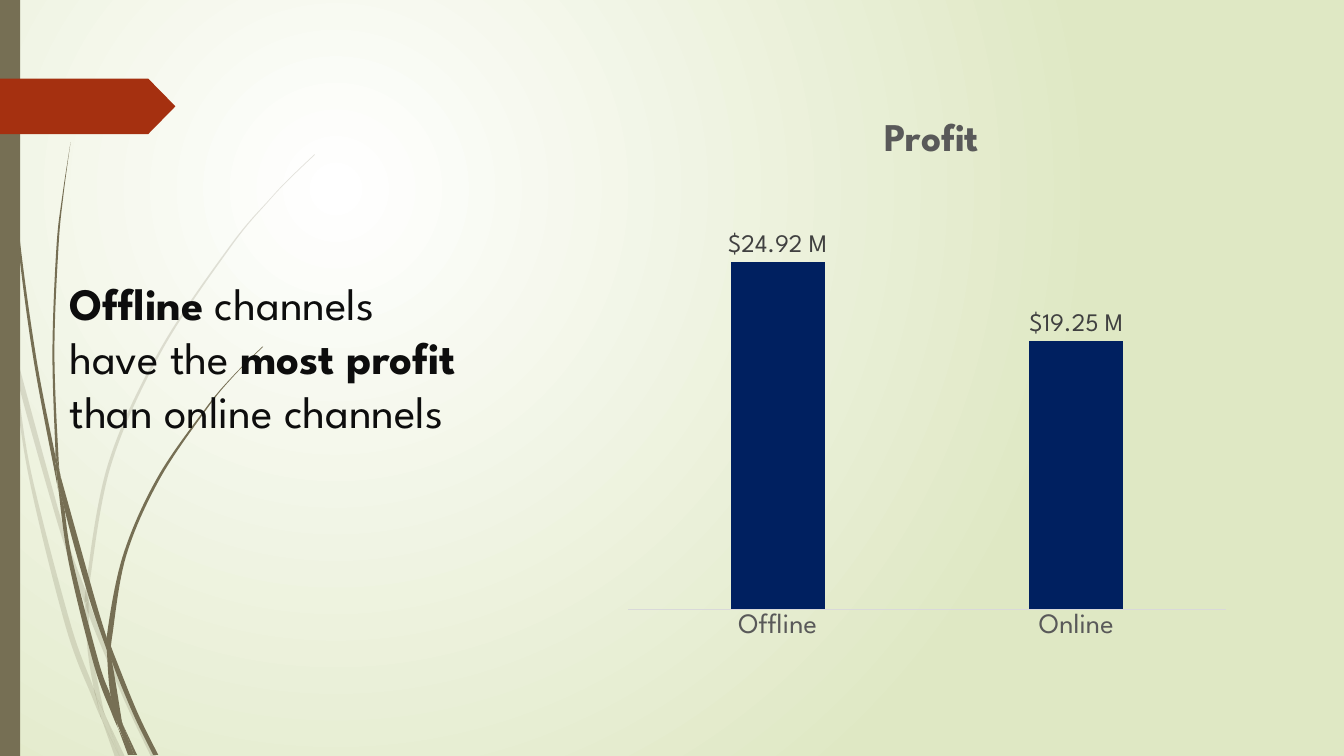
import dataclasses
import pptx
import pptx.util
import pptx.chart.data
import pptx.dml.color
import pptx.enum.chart
import pptx.enum.shapes
import pptx.enum.text
import pptx.oxml
import pptx.oxml.ns

Inches, Pt = pptx.util.Inches, pptx.util.Pt
Rgb = pptx.dml.color.RGBColor.from_string
qn, ns = pptx.oxml.ns.qn, pptx.oxml.ns.nsdecls


@dataclasses.dataclass(frozen=True)
class Theme:
    font: str = "League Spartan"
    glow: str = "FFFFFF"
    field: str = "DFE8C4"
    stem: str = "766F54"
    tag: str = "A53010"
    bar: str = "002060"
    ink: str = "0D0D0D"
    gray: str = "595959"
    value: str = "404040"
    rule: str = "D9D9D9"
    claim: int = 32
    title: int = 28
    axis: int = 20
    label: int = 18


THEME = Theme()

# Pieces of grass: the two curved edges of each, in drawing order
PALE = [
    ([(0.11, 3.5), (0.09, 3.22), (0, 2.82)], [(0, 2.99), (0.1, 3.44)]),
    ([(0.14, 3.45), (0.17, 3.76), (0.58, 5.22), (0.84, 5.99)], [(0.85, 5.86), (0.62, 5.2), (0.14, 3.45)]),
    ([(0.88, 5.96), (0.88, 6.1), (1.23, 6.94), (1.5, 7.51)], [(1.55, 7.51), (1.27, 6.92), (0.92, 6.07)]),
    ([(1.05, 7.11), (1.19, 7.51)], [(1.24, 7.51), (1.05, 7.11)]),
    ([(0.11, 3.5), (0.28, 4.7), (0.65, 6.21), (0.92, 6.93), (1.01, 7.14)],
     [(0.99, 7.07), (0.93, 6.83), (0.7, 6.19), (0.31, 4.69), (0.17, 3.76)]),
    ([(0.84, 5.99), (0.87, 6.46), (0.93, 6.83), (0.96, 6.92), (1.05, 7.11)],
     [(1.03, 7.06), (0.91, 6.46), (0.88, 6.1), (0.88, 6.08)]),
    ([(0.88, 5.84), (1.1, 4.62), (1.6, 3.49), (2.29, 2.45), (2.68, 1.98), (2.9, 1.75), (3.12, 1.54)],
     [(3.12, 1.53), (2.89, 1.75), (2.68, 1.97), (2.28, 2.44), (1.58, 3.48), (1.07, 4.61), (0.85, 5.84), (0.88, 5.96)]),
    ([(1.01, 7.14), (1.14, 7.51)], [(1.19, 7.51), (1.01, 7.14)]),
    ([(0.88, 6.08), (0.88, 5.96)], [(0.85, 5.86), (0.84, 5.99)]),
    ([(0.93, 6.83), (0.99, 7.07), (1.01, 7.14), (1.19, 7.51)], [(1.19, 7.51), (1.05, 7.11), (0.96, 6.92)]),
]
DARK = [
    ([(0.03, 0), (0.04, 0.48), (0.07, 1.1), (0.17, 2.33), (0.33, 3.55), (0.56, 4.77), (0.57, 4.81)],
     [(0.55, 4.57), (0.55, 4.53), (0.36, 3.55), (0.19, 2.32), (0.08, 1.09), (0.05, 0.48), (0.04, 0)]),
    ([(0.6, 4.72), (0.64, 5.05), (0.88, 5.92), (1.06, 6.45)], [(1.06, 6.33), (0.93, 5.9), (0.6, 4.72)]),
    ([(1.1, 6.41), (1.11, 6.56), (1.32, 7.08), (1.52, 7.49)], [(1.57, 7.49), (1.36, 7.06), (1.13, 6.49)]),
    ([(0.57, 4.77), (0.68, 5.57), (0.93, 6.59), (1.11, 7.08), (1.17, 7.22)],
     [(1.16, 7.17), (1.1, 6.91), (0.98, 6.57), (0.72, 5.56), (0.64, 5.05)]),
    ([(0.6, 4.72), (0.58, 4.53), (0.54, 3.49), (0.58, 2.45), (0.63, 1.93), (0.7, 1.41)],
     [(0.7, 1.41), (0.62, 1.93), (0.56, 2.45), (0.52, 3.49), (0.55, 4.49)]),
    ([(1.22, 7.19), (1.33, 7.49)], [(1.36, 7.49), (1.22, 7.19)]),
    ([(0.55, 4.53), (0.57, 4.77), (0.64, 5.05)], [(0.6, 4.72), (0.55, 4.49)]),
    ([(1.11, 6.33), (1.25, 5.52), (1.58, 4.76), (2.05, 4.06), (2.31, 3.74), (2.61, 3.44)],
     [(2.6, 3.44), (2.31, 3.73), (2.04, 4.05), (1.56, 4.74), (1.22, 5.51), (1.06, 6.31), (1.1, 6.41)]),
    ([(1.17, 7.22), (1.27, 7.49)], [(1.31, 7.49), (1.17, 7.22)]),
    ([(1.06, 6.45), (1.1, 6.91), (1.22, 7.19)], [(1.21, 7.16), (1.11, 6.56), (1.06, 6.45)]),
    ([(1.06, 6.45), (1.11, 6.56)], [(1.1, 6.41), (1.06, 6.31)]),
    ([(1.1, 6.91), (1.16, 7.17), (1.3, 7.49)], [(1.33, 7.49), (1.22, 7.19), (1.16, 7.06)]),
]


def paint(shape, color, alpha=None):
    shape.shadow.inherit = False
    shape.fill.solid()
    shape.fill.fore_color.rgb = Rgb(color)
    shape.line.fill.background()
    if alpha:
        tone = shape.fill._xPr.find(".//" + qn("a:srgbClr"))
        tone.append(pptx.oxml.parse_xml(f'<a:alpha {ns("a")} val="{alpha * 1000}"/>'))


def bend(shape, edges):
    """Turn the straight segments within each edge into smooth curves."""
    nodes = [n for n in shape._element.iter(qn("a:moveTo"), qn("a:lnTo"))]
    spots = [(int(n[0].get("x")), int(n[0].get("y"))) for n in nodes]
    start = 0
    for edge in edges:
        end = start + len(edge)
        knots = [spots[start], *spots[start:end], spots[end - 1]]
        for node, a, b, c, d in zip(nodes[start + 1:end], knots, knots[1:], knots[2:], knots[3:]):
            pull = [q + (r - p) / 6 for p, q, r in zip(a, b, c)]
            push = [r - (s - q) / 6 for q, r, s in zip(b, c, d)]
            dots = "".join(f'<a:pt x="{round(x)}" y="{round(y)}"/>' for x, y in (pull, push, c))
            node.getparent().replace(node, pptx.oxml.parse_xml(
                f'<a:cubicBezTo {ns("a")}>{dots}</a:cubicBezTo>'))
        start = end


def grass(slide, left, top, pieces, alpha=None):
    for edges in pieces:
        points = [(Inches(left + x), Inches(top + y)) for edge in edges for x, y in edge]
        pen = slide.shapes.build_freeform(*points[0])
        pen.add_line_segments(points[1:], close=True)
        piece = pen.convert_to_shape()
        bend(piece, edges)
        paint(piece, THEME.stem, alpha)


def backdrop(slide):
    fill = slide.background.fill
    fill.gradient()
    for stop, color in zip(fill.gradient_stops, (THEME.glow, THEME.field)):
        stop.color.rgb = Rgb(color)
    grad = slide.background._cSld.find(".//" + qn("a:gradFill"))
    grad.remove(grad.find(qn("a:lin")))
    grad.append(pptx.oxml.parse_xml(
        f'<a:path {ns("a")} path="circle"><a:fillToRect l="50000" t="50000" r="100000" b="100000"/></a:path>'))


def margin(slide, left, top, width, height):
    kinds = pptx.enum.shapes.MSO_SHAPE
    strip = slide.shapes.add_shape(kinds.RECTANGLE, Inches(left), Inches(top), Inches(width), Inches(height))
    paint(strip, THEME.stem)
    tag = slide.shapes.add_shape(kinds.PENTAGON, Inches(left), Inches(top + 0.78), Inches(1.74), Inches(0.55))
    tag.adjustments[0] = 0.49
    paint(tag, THEME.tag)


def claim(slide, left, top, width, height):
    frame = slide.shapes.add_textbox(Inches(left), Inches(top), Inches(width), Inches(height)).text_frame
    frame.word_wrap = True
    frame.vertical_anchor = pptx.enum.text.MSO_ANCHOR.BOTTOM
    para = frame.paragraphs[0]
    style(para.font, THEME.claim, THEME.ink)
    for text, bold in (("Offline", True), (" channels have the ", False),
                       ("most profit", True), (" than online channels", False)):
        run = para.add_run()
        run.text, run.font.bold = text, bold


def style(font, size, color):
    font.name, font.size = THEME.font, Pt(size)
    font.color.rgb = Rgb(color)


def layout(owner, index, target="", **places):
    """Give a chart part a fixed place, as shares of the chart."""
    for old in owner.findall(qn("c:layout")):
        owner.remove(old)
    parts = "".join(f'<c:{k} val="{v}"/>' for k, v in places.items())
    owner.insert(index, pptx.oxml.parse_xml(
        f'<c:layout {ns("c")}><c:manualLayout>{target}<c:xMode val="edge"/>'
        f'<c:yMode val="edge"/>{parts}</c:manualLayout></c:layout>'))


def profit(slide, left, top, width, height):
    enums = pptx.enum.chart
    money = '\\$0.00,,\\ "M"'
    data = pptx.chart.data.CategoryChartData(number_format=money)
    data.categories = ["Offline", "Online"]
    data.add_series("Series 1", (24920000, 19250000))
    chart = slide.shapes.add_chart(enums.XL_CHART_TYPE.COLUMN_CLUSTERED, Inches(left), Inches(top),
                                   Inches(width), Inches(height), data).chart
    chart.has_legend = False
    chart.font.name = THEME.font

    # Title
    head = chart.chart_title.text_frame
    head.text = "Profit"
    style(head.paragraphs[0].font, THEME.title, THEME.gray)
    head.paragraphs[0].font.bold = True
    layout(chart.chart_title._element, 1, x=0.42, y=0.01)

    # Axes
    scale, base = chart.value_axis, chart.category_axis
    scale.minimum_scale, scale.maximum_scale = 0, 30000000
    scale.has_major_gridlines = scale.visible = False
    base.major_tick_mark = enums.XL_TICK_MARK.NONE
    base.format.line.color.rgb = Rgb(THEME.rule)
    base.format.line.width = Pt(0.75)
    style(base.tick_labels.font, THEME.axis, THEME.gray)

    # Bars and their labels
    plot = chart.plots[0]
    plot.gap_width, plot.overlap, plot.vary_by_categories = 219, -27, False
    paint_bars = plot.series[0].format.fill
    paint_bars.solid()
    paint_bars.fore_color.rgb = Rgb(THEME.bar)
    plot.has_data_labels = True
    labels = plot.data_labels
    labels.show_value, labels.position = True, enums.XL_LABEL_POSITION.OUTSIDE_END
    labels.number_format, labels.number_format_is_linked = money, False
    style(labels.font, THEME.label, THEME.value)
    layout(chart._chartSpace.find(".//" + qn("c:plotArea")), 0,
           '<c:layoutTarget val="inner"/>', x=0.02, y=0.155, w=0.96, h=0.77)


def main():
    deck = pptx.Presentation()
    deck.slide_width, deck.slide_height = Inches(13.33), Inches(7.5)
    slide = deck.slides.add_slide(deck.slide_layouts[6])
    backdrop(slide)
    grass(slide, 0, 0, PALE, alpha=20)
    grass(slide, 0, 0, DARK)
    margin(slide, 0, 0, 0.2, 7.5)
    claim(slide, 0.59, 1.06, 4.13, 3.33)
    profit(slide, 6.11, 1.06, 6.17, 5.39)
    deck.save("out.pptx")


if __name__ == "__main__":
    main()
